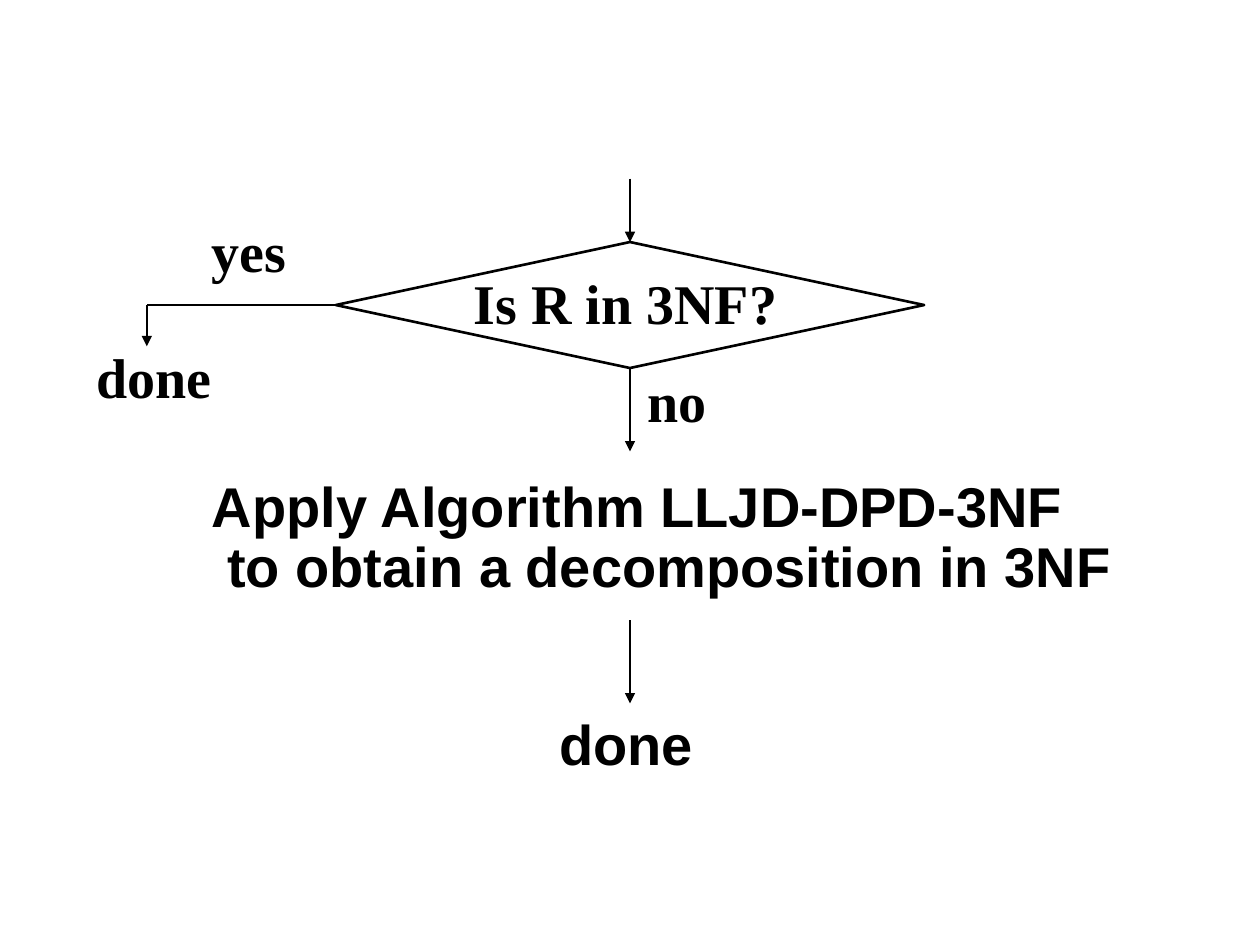
from lxml import etree
from pptx import Presentation
from pptx.dml.color import RGBColor
from pptx.enum.shapes import MSO_CONNECTOR, MSO_SHAPE
from pptx.enum.text import MSO_AUTO_SIZE
from pptx.oxml.ns import qn
from pptx.util import Cm, Pt

BLACK = RGBColor(0x00, 0x00, 0x00)
WHITE = RGBColor(0xFF, 0xFF, 0xFF)
STRAIGHT = MSO_CONNECTOR.STRAIGHT
DIAMOND = MSO_SHAPE.DIAMOND
GROW = MSO_AUTO_SIZE.SHAPE_TO_FIT_TEXT
TOP, LEFT, BOTTOM = 0, 1, 2
SERIF, SANS = "Times New Roman", "Arial"


class FlowChart:
    """Holds the style and the current slide."""

    font_format = {"size": Pt(32), "bold": True}
    line_width = Pt(1.5)

    def __init__(self, slide):
        self.slide = slide

    def outline(self, shape):
        shape.line.color.rgb = BLACK
        shape.line.width = self.line_width

    def decision(self, left, top, width, height):
        shape = self.slide.shapes.add_shape(
            DIAMOND, Cm(left), Cm(top), Cm(width), Cm(height))
        shape.shadow.inherit = False
        shape.fill.background()
        self.outline(shape)
        return shape

    def line(self, start, end, arrow=True):
        connector = self.slide.shapes.add_connector(
            STRAIGHT, *(Cm(value) for value in (*start, *end)))
        self.outline(connector)
        if arrow:
            etree.SubElement(
                connector.get_or_add_ln(), qn("a:tailEnd"), type="triangle")
        etree.SubElement(connector._element.spPr, qn("a:effectLst"))
        return connector

    def text(self, lines, left, top, width, height=1.63, font=SERIF,
             wrap=False, spacing=None):
        box = self.slide.shapes.add_textbox(
            Cm(left), Cm(top), Cm(width), Cm(height))
        frame = box.text_frame
        frame.word_wrap = wrap
        frame.auto_size = GROW
        for index, line in enumerate(lines):
            para = frame.paragraphs[0] if index == 0 else frame.add_paragraph()
            para.line_spacing = spacing
            span = para.add_run()
            span.text = line
            for name, value in {**self.font_format, "name": font}.items():
                setattr(span.font, name, value)
            span.font.color.rgb = BLACK
        return box


def main():
    deck = Presentation()
    deck.slide_width, deck.slide_height = Cm(25.4), Cm(19.05)
    page = deck.slides.add_slide(deck.slide_layouts[6])
    page.background.fill.solid()
    page.background.fill.fore_color.rgb = WHITE
    chart = FlowChart(page)

    # Decision, centred on the main axis
    axis, middle = 12.7, 6.15
    width, height = 11.86, 2.54
    left, top = axis - width / 2, middle - height / 2
    decision = chart.decision(left, top, width, height)
    chart.text(["Is R in 3NF?"], 9.3, 5.29, 6.65)
    entry = chart.line((axis, 3.6), (axis, top))
    entry.end_connect(decision, TOP)

    # Yes branch
    branch = 2.96
    yes_line = chart.line((left, middle), (branch, middle), arrow=False)
    yes_line.begin_connect(decision, LEFT)
    chart.line((branch, middle), (branch, 6.98))
    chart.text(["yes"], 4.02, 4.25, 2.05)
    chart.text(["done"], 1.69, 6.79, 2.83)

    # No branch
    no_line = chart.line((axis, top + height), (axis, 9.1))
    no_line.begin_connect(decision, BOTTOM)
    chart.text(["no"], 12.8, 7.27, 1.85)
    chart.text(["Apply Algorithm LLJD-DPD-3NF",
                " to obtain a decomposition in 3NF"],
               4.02, 9.53, 18.85, 2.69, font=SANS, wrap=True, spacing=0.9)
    chart.line((axis, 12.5), (axis, 14.18))
    chart.text(["done"], 11.02, 14.18, 3.22, font=SANS)

    deck.save("out.pptx")


if __name__ == "__main__":
    main()
